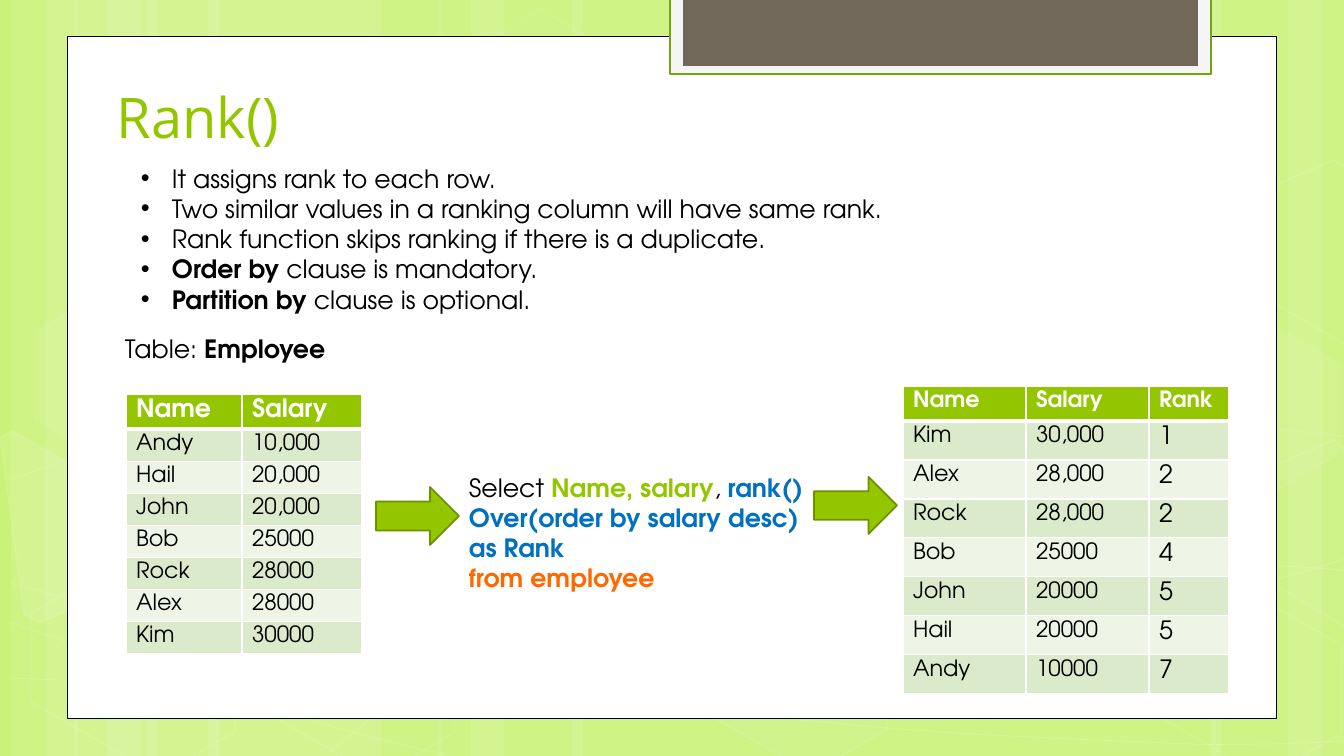
from lxml import etree
from pptx import Presentation
from pptx.dml.color import RGBColor
from pptx.enum.shapes import MSO_SHAPE
from pptx.enum.text import MSO_ANCHOR
from pptx.oxml.ns import qn
from pptx.util import Emu, Pt

RECT, HEXAGON, ARROW = MSO_SHAPE.RECTANGLE, MSO_SHAPE.HEXAGON, MSO_SHAPE.RIGHT_ARROW
BOTTOM = MSO_ANCHOR.BOTTOM
SCALE = 914400 / 100.8
BODY_FONT, TITLE_FONT = "TeX Gyre Adventor", "Open Sans"
GREEN, DARK_GREEN, BLUE, ORANGE = "94C600", "6D9200", "0070C0", "FF6700"
WHITE, BLACK = "FFFFFF", "000000"
BANDS = ("DCEACC", "EEF5E7")

STRIPS = [(146, 235), (11, 67), (45, 112), (208, 235), (74, 67), (107, 112),
          (986, 235), (1288, 67), (1210, 112), (572, 414), (437, 67), (471, 112)]
CURVES = [
    [(10, 678), (83, 681), (155, 684), (256, 683), (357, 682), (481, 680), (615, 670),
     (750, 660), (940, 641), (1063, 622), (1187, 603), (1313, 573), (1354, 555)],
    [(10, 481), (48, 465), (87, 450), (163, 434), (240, 419), (348, 397), (467, 390),
     (587, 383), (731, 382), (879, 390), (1027, 398), (1273, 429), (1354, 437)],
    [(8, 622), (170, 677), (333, 733), (450, 755)],
    [(10, 583), (51, 594), (94, 605), (172, 621), (250, 636), (367, 661), (479, 678),
     (591, 696), (733, 714), (844, 724), (956, 735), (1075, 739), (1146, 742),
     (1217, 746), (1235, 744), (1270, 744), (1304, 743), (1330, 742), (1354, 740)],
    [(326, 755), (350, 735), (373, 715), (406, 697), (438, 678), (484, 658), (521, 644),
     (558, 630), (582, 624), (631, 614), (680, 604), (771, 590), (817, 583),
     (865, 576), (872, 576), (914, 574), (956, 571), (1021, 567), (1067, 566),
     (1114, 565), (1191, 566), (1191, 566), (1230, 566), (1250, 566), (1280, 566),
     (1305, 567), (1328, 569), (1352, 571)],
]
HEXAGONS = [(449, 36, 4, 8), (667, 594, 6, 12), (15, 596, 0, 12), (19, 314, 7, 8),
            (234, 597, 0, 12), (1121, 598, 0, 12), (1121, 317, 7, 8)]
CUT_HEXAGONS = [
    ([(0, 437), (13, 431), (116, 491), (128, 586), (39, 623), (24, 614)], 10),
    ([(1245, 478), (1334, 440), (1343, 447), (1368, 633), (1360, 636), (1257, 574)], 4),
    ([(1245, 198), (1334, 160), (1345, 166), (1368, 349), (1360, 353), (1257, 293)], 0),
]


def px(value):
    return Emu(round(value * SCALE))


def color(value):
    return RGBColor.from_string(value)


def set_alpha(parent, percent):
    for tint in parent.iter(qn("a:srgbClr")):
        etree.SubElement(tint, qn("a:alpha"), val=str(percent * 1000))


def paint(shape, fill=None, line=None, width=1, fill_alpha=100, line_alpha=100):
    shape.shadow.inherit = False
    properties = shape.element.spPr
    if fill and fill_alpha:
        shape.fill.solid()
        shape.fill.fore_color.rgb = color(fill)
        if fill_alpha < 100:
            set_alpha(properties.find(qn("a:solidFill")), fill_alpha)
    else:
        shape.fill.background()
    if line:
        shape.line.color.rgb = color(line)
        shape.line.width = Pt(width)
        if line_alpha < 100:
            set_alpha(properties.find(qn("a:ln")), line_alpha)
    else:
        shape.line.fill.background()


def add_block(page, kind, box, **style):
    shape = page.shapes.add_shape(kind, *map(px, box))
    paint(shape, **style)
    return shape


def add_outline(page, points, origin, closed, **style):
    left, top = origin
    places = [(px(left + x), px(top + y)) for x, y in points]
    builder = page.shapes.build_freeform(*places[0])
    builder.add_line_segments(places[1:], close=closed)
    shape = builder.convert_to_shape()
    paint(shape, **style)
    return shape


def bend(shape):
    segments = list(shape.element.iter(qn("a:lnTo")))
    outline = segments[0].getparent()
    for first in range(0, len(segments), 3):
        curve = etree.SubElement(outline, qn("a:cubicBezTo"))
        for segment in segments[first:first + 3]:
            curve.append(segment[0])
            outline.remove(segment)


def add_span(para, text, size=18, font=BODY_FONT, tint=BLACK, bold=False):
    span = para.add_run()
    span.text = text
    span.font.size, span.font.name, span.font.bold = Pt(size), font, bold
    span.font.color.rgb = color(tint)


def add_text(page, box, lines, bullet=False):
    frame = page.shapes.add_textbox(*map(px, box)).text_frame
    frame.word_wrap = True
    for index, spans in enumerate(lines):
        para = frame.add_paragraph() if index else frame.paragraphs[0]
        if bullet:
            settings = para._p.get_or_add_pPr()
            settings.set("marL", str(px(31)))
            settings.set("indent", str(-px(31)))
            etree.SubElement(settings, qn("a:buFont"), typeface="Arial")
            etree.SubElement(settings, qn("a:buChar"), char="•")
        for text, style in spans:
            add_span(para, text, **style)
    return frame


def set_borders(cell, **widths):
    settings = cell._tc.get_or_add_tcPr()
    for index, side in enumerate("LRTB"):
        border = etree.Element(qn(f"a:ln{side}"), w=str(Pt(widths.get(side, 1))))
        fill = etree.SubElement(border, qn("a:solidFill"))
        etree.SubElement(fill, qn("a:srgbClr"), val=WHITE)
        settings.insert(index, border)


def draw_backdrop(page, box):
    left, top, width, height = box
    page.background.fill.solid()
    page.background.fill.fore_color.rgb = color("CAF278")
    for x, strip_width in STRIPS:
        add_block(page, RECT, (left + x, top, strip_width, height), fill=WHITE, fill_alpha=10)
    for controls in CURVES:
        bend(add_outline(page, controls, (left, top), False,
                         line=WHITE, width=0.5, line_alpha=20))
    for x, y, fill_alpha, line_alpha in HEXAGONS:
        hexagon = add_block(page, HEXAGON, (left + x, top + y, 236, 153), fill=WHITE,
                            line=WHITE, fill_alpha=fill_alpha, line_alpha=line_alpha)
        hexagon.adjustments[0] = 0.285
        hexagon.rotation = 30
    for points, fill_alpha in CUT_HEXAGONS:
        add_outline(page, points, (left, top), True, fill=WHITE, line=WHITE,
                    fill_alpha=fill_alpha, line_alpha=12)


def draw_panel(page, box):
    left, top, width, height = box
    add_block(page, RECT, box, fill=WHITE, line=BLACK, width=0.5)
    add_block(page, RECT, (left + 603, top - 38, 541, 76), fill="F5F5F5",
              line="74A510", width=1.25)
    add_block(page, RECT, (left + 616, top - 38, 515, 68), fill="71685A")


def move_to_layout(page):
    target = page.slide_layout.shapes.element
    for shape in list(page.shapes):
        target.append(shape.element)


def draw_intro(page, box):
    left, top, width, height = box
    title = add_text(page, (left, top, width, 82),
                     [[("Rank()", dict(size=40, font=TITLE_FONT, tint=GREEN))]])
    title.vertical_anchor = BOTTOM
    title.margin_top, title.margin_bottom = 0, px(6)
    add_text(page, (left + 24, top + 84, 821, 254), [
        [("It assigns rank to each row.", {})],
        [("Two similar values in a ranking column will have same rank.", {})],
        [("Rank function skips ranking if there is a duplicate.", {})],
        [("Order by ", dict(bold=True)), ("clause is mandatory.", {})],
        [("Partition by ", dict(bold=True)), ("clause is optional.", {})],
    ], bullet=True)
    add_text(page, (left + 8, top + 254, 251, 41),
             [[("Table: ", {}), ("Employee", dict(bold=True))]])


def draw_table(page, box, rows, columns, head_height, head_size, sizes):
    left, top, width, height = box
    table = page.shapes.add_table(len(rows), len(columns), *map(px, box)).table
    for column, column_width in zip(table.columns, columns):
        column.width = px(column_width)
    row_height = (height - head_height) / (len(rows) - 1)
    for r, values in enumerate(rows):
        table.rows[r].height = px(row_height if r else head_height)
        for c, value in enumerate(values):
            cell = table.cell(r, c)
            cell.margin_top, cell.margin_bottom = px(5), 0
            cell.fill.solid()
            cell.fill.fore_color.rgb = color(BANDS[(r - 1) % 2] if r else GREEN)
            set_borders(cell, T=3 if r == 1 else 1, B=1 if r else 3)
            add_span(cell.text_frame.paragraphs[0], value, size=sizes[c] if r else head_size,
                     tint=BLACK if r else WHITE, bold=not r)


def draw_query(page, box):
    left, top, width, height = box
    add_text(page, (left + 83, top, 381, height), [
        [("Select ", {}), ("Name, salary", dict(tint=GREEN, bold=True)), (", ", {}),
         ("rank() Over(order by salary desc) as Rank", dict(tint=BLUE, bold=True))],
        [("from employee", dict(tint=ORANGE, bold=True))],
    ])
    for x, y, arrow_height in ((0, 20, 58), (438, 10, 57)):
        add_block(page, ARROW, (left + x, top + y, 83, arrow_height), fill=GREEN,
                  line=DARK_GREEN, width=1.25)


deck = Presentation()
deck.slide_width, deck.slide_height = px(1344), px(756)
page = deck.slides.add_slide(deck.slide_layouts[6])
draw_backdrop(page, (0, 0, 1344, 756))
draw_panel(page, (67, 36, 1209, 682))
move_to_layout(page)
draw_intro(page, (107, 74, 1032, 338))
ranked = [("Name", "Salary", "Rank"), ("Kim", "30,000", "1"), ("Alex", "28,000", "2"),
          ("Rock", "28,000", "2"), ("Bob", "25000", "4"), ("John", "20000", "5"),
          ("Hail", "20000", "5"), ("Andy", "10000", "7")]
employees = [("Name", "Salary"), ("Andy", "10,000"), ("Hail", "20,000"), ("John", "20,000"),
             ("Bob", "25000"), ("Rock", "28000"), ("Alex", "28000"), ("Kim", "30000")]
draw_table(page, (903, 386, 326, 308), ranked, (123, 123, 80), 35, 16, (16, 16, 18))
draw_table(page, (126, 394, 236, 259), employees, (116, 120), 35, 18, (16, 16))
draw_query(page, (376, 467, 521, 163))
deck.save("out.pptx")
